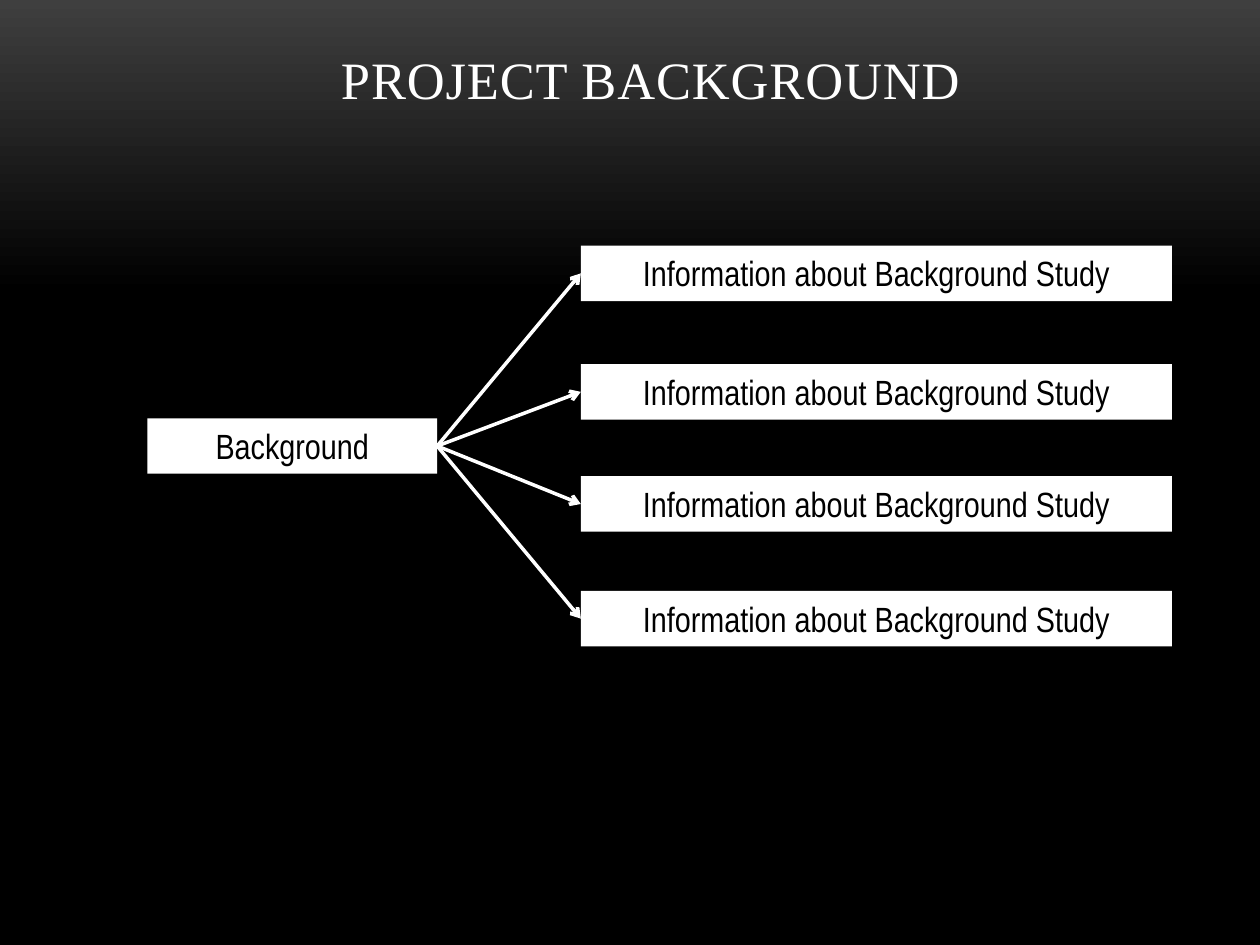
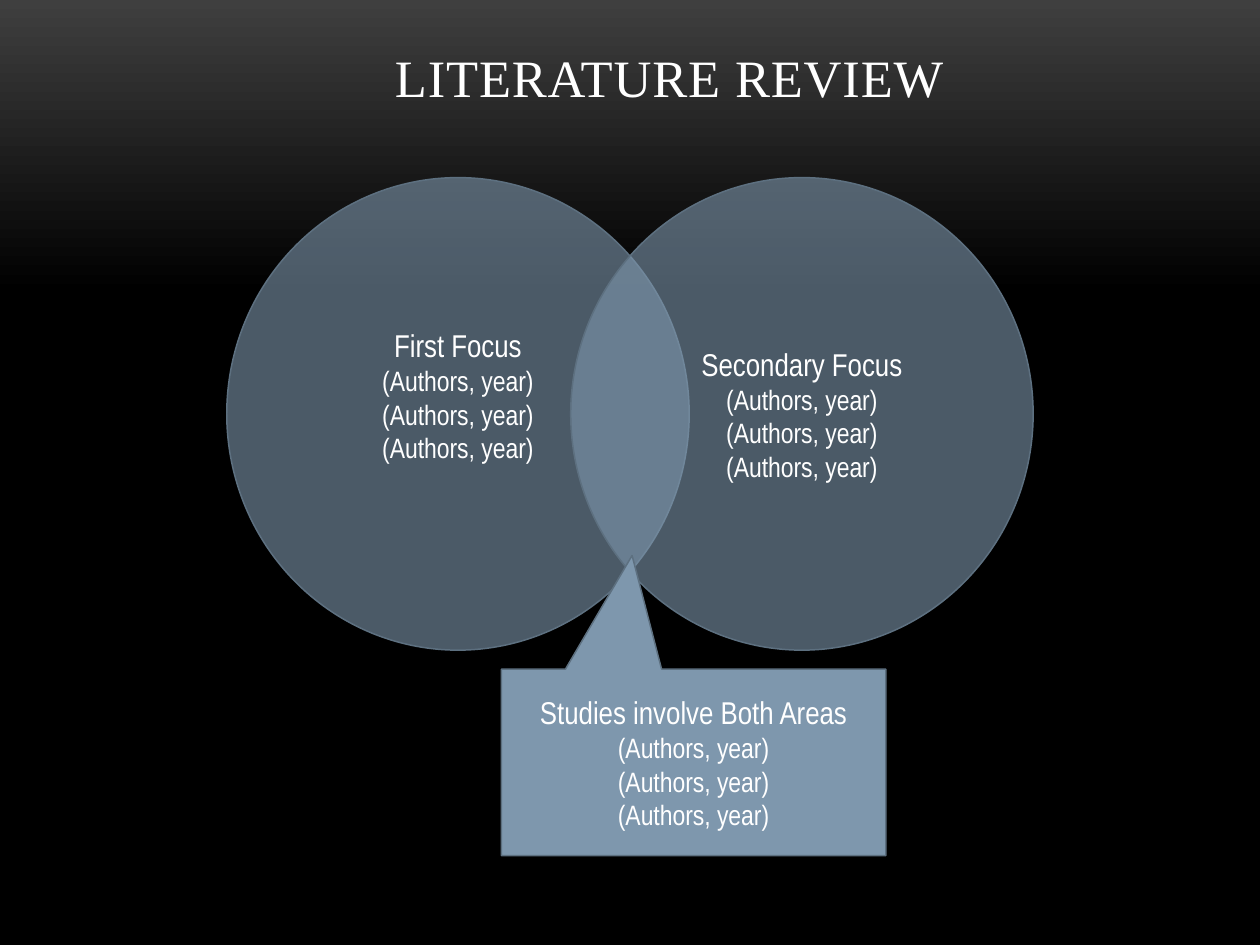
from lxml.etree import SubElement
from pptx import Presentation
from pptx.dml.color import RGBColor
from pptx.enum.shapes import MSO_CONNECTOR, MSO_SHAPE
from pptx.enum.text import MSO_ANCHOR, MSO_AUTO_SIZE, PP_ALIGN
from pptx.oxml.ns import qn
from pptx.util import Inches, Pt

COLORS = {
    "top": "3F3F3F",
    "black": "000000",
    "white": "FFFFFF",
    "blue": "7E97AD",
    "edge": "5D7080",
}
SERIF, SANS = "Times New Roman", "Arial Narrow"
AUTHORS = ["(Authors, year)"] * 3


def color(name):
    return RGBColor.from_string(COLORS[name])


def write(shape, lines, sizes, font=SANS, ink="white", anchor=MSO_ANCHOR.MIDDLE,
          space=None, grow=False, lift=0):
    """Fill a shape with centred lines; lift raises middle-anchored text."""
    frame = shape.text_frame
    frame.word_wrap = True
    frame.vertical_anchor = anchor
    frame.margin_bottom = Inches(0.05 + 2 * lift)
    if grow:
        frame.auto_size = MSO_AUTO_SIZE.SHAPE_TO_FIT_TEXT
    for i, (line, size) in enumerate(zip(lines, sizes)):
        par = frame.paragraphs[0] if i == 0 else frame.add_paragraph()
        par.alignment = PP_ALIGN.CENTER
        run = par.add_run()
        run.text = line
        run.font.name = font
        run.font.size = Pt(size)
        run.font.color.rgb = color(ink)
        if space:
            run.font._element.set("spc", str(int(space * 100)))


def add_form(slide, kind, box, fill, edge=None, alpha=None):
    shape = slide.shapes.add_shape(kind, *map(Inches, box))
    shape.shadow.inherit = False
    shape.fill.solid()
    shape.fill.fore_color.rgb = color(fill)
    if alpha:
        tint = shape._element.spPr.find(qn("a:solidFill"))[0]
        SubElement(tint, qn("a:alpha"), val=str(alpha * 1000))
    if edge:
        shape.line.color.rgb = color(edge)
        shape.line.width = Pt(0.85)
    else:
        shape.line.fill.background()
    return shape


def add_page(deck, title, box):
    slide = deck.slides.add_slide(deck.slide_layouts[6])
    # Background fades from grey to black
    fill = slide.background.fill
    fill.gradient()
    fill.gradient_angle = 270
    for stop, name, place in zip(fill.gradient_stops, ("top", "black"), (0, 0.31)):
        stop.color.rgb = color(name)
        stop.position = place
    # Title
    head = slide.shapes.add_textbox(*map(Inches, box))
    write(head, [title], [30], font=SERIF, anchor=MSO_ANCHOR.BOTTOM, space=0.5)
    return slide


def add_label(slide, text, box):
    shape = add_form(slide, MSO_SHAPE.RECTANGLE, box, "white")
    write(shape, [text], [20], ink="black", anchor=MSO_ANCHOR.TOP, grow=True)
    return shape


def add_arrow(slide, start, end):
    """Join the right side of start to the left side of end."""
    link = slide.shapes.add_connector(MSO_CONNECTOR.STRAIGHT, 0, 0, 0, 0)
    link.begin_connect(start, 3)
    link.end_connect(end, 1)
    link.line.color.rgb = color("white")
    link.line.width = Pt(2)
    SubElement(link.line._get_or_add_ln(), qn("a:tailEnd"), type="arrow")
    SubElement(link._element.spPr, qn("a:effectLst"))


def add_tree(slide, box):
    left, top, width, high = box
    row = 0.44
    root = add_label(slide, "Background", (left, top + (high - row) / 2, 2.3, row))
    # Branches, right-aligned in the box
    wide = 4.69
    for drop in (0, 0.94, 1.83, 2.74):
        leaf = add_label(slide, "Information about Background Study",
                         (left + width - wide, top + drop, wide, row))
        add_arrow(slide, root, leaf)


def add_venn(slide, box):
    left, top, width, high = box
    wide = 3.67
    # Two overlapping circles; the first has its text set higher
    for name, x, lift in (("First Focus", left, 0.15),
                          ("Secondary Focus", left + width - wide, 0)):
        ring = add_form(slide, MSO_SHAPE.OVAL, (x, top, wide, high),
                        "blue", edge="edge", alpha=60)
        write(ring, [name] + AUTHORS, [18, 16, 16, 16], lift=lift)
    # Callout pointing at the overlap
    note = add_form(slide, MSO_SHAPE.RECTANGULAR_CALLOUT,
                    (left + 2.18, top + high + 0.15, 3.05, 1.48), "blue", edge="edge")
    note.adjustments[0] = -0.16
    note.adjustments[1] = -1.109
    write(note, ["Studies involve Both Areas"] + AUTHORS, [18, 16, 16, 16])


def main():
    deck = Presentation()
    deck.slide_width, deck.slide_height = Inches(10), Inches(7.5)
    # Project background
    slide = add_page(deck, "PROJECT BACKGROUND", (0.83, 0, 8.67, 0.92))
    add_tree(slide, (1.17, 1.95, 8.13, 3.18))
    # Literature review
    slide = add_page(deck, "LITERATURE REVIEW", (0.98, 0.04, 8.67, 0.87))
    add_venn(slide, (1.8, 1.41, 6.4, 3.75))
    deck.save("out.pptx")


if __name__ == "__main__":
    main()
